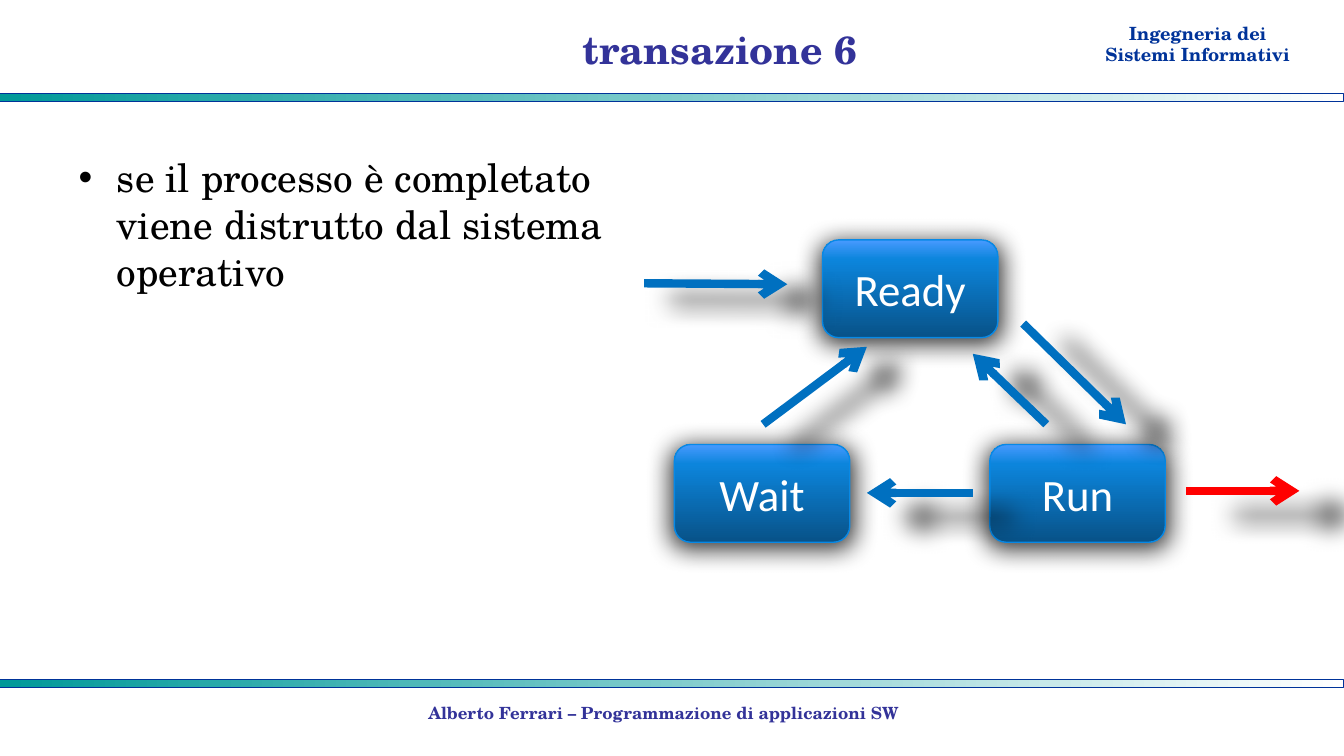
from dataclasses import dataclass

from lxml.etree import SubElement
from pptx import Presentation
from pptx.dml.color import RGBColor
from pptx.enum.shapes import MSO_CONNECTOR, MSO_SHAPE
from pptx.enum.text import MSO_ANCHOR, PP_ALIGN
from pptx.oxml.ns import qn
from pptx.util import Inches, Pt

COLORS = {
    "navy": "003399", "indigo": "333399", "teal": "009999", "white": "FFFFFF",
    "black": "000000", "blue": "0070C0", "red": "FF0000", "edge": "0789E6",
    "deep": "085288", "bright": "0C85DC", "sky": "489AFF",
}
SERIF, SANS = "TeX Gyre Schola", "Calibri"
BAR_STOPS = [(0, "teal"), (100, "white")]
STATE_STOPS = [(0, "deep"), (80, "bright"), (100, "sky")]
STATE_WIDTH, STATE_HEIGHT = 13.05, 12.93


# All places and sizes are percentages of the slide's width and height
@dataclass
class State:
    name: str
    left: float
    top: float


@dataclass
class Arrow:
    start: tuple[float, float]
    end: tuple[float, float]
    color: str = "blue"


STATES = [
    State("Ready", 61.2, 31.73),
    State("Wait", 50.18, 58.8),
    State("Run", 73.65, 58.8),
]
ARROWS = [
    Arrow((47.93, 37.47), (58.58, 37.6)),
    Arrow((76.13, 42.8), (83.78, 56.13)),
    Arrow((72.38, 65.2), (64.5, 65.2)),
    Arrow((77.85, 56.13), (72.38, 46.8)),
    Arrow((56.78, 56.13), (64.5, 45.87)),
    Arrow((88.28, 64.93), (96.68, 64.93), "red"),
]

deck = Presentation()
deck.slide_width, deck.slide_height = Inches(13.33), Inches(7.5)
page = deck.slides.add_slide(deck.slide_layouts[1])


def across(share: float) -> int:
    return round(deck.slide_width * share / 100)


def down(share: float) -> int:
    return round(deck.slide_height * share / 100)


def area(left: float, top: float, width: float, height: float) -> tuple:
    return across(left), down(top), across(width), down(height)


def rgb(name: str) -> RGBColor:
    return RGBColor.from_string(COLORS[name])


def write(box, lines: list[str], size: float, color: str, font: str = SERIF,
          bold: bool = False, align=PP_ALIGN.CENTER, anchor=MSO_ANCHOR.TOP) -> None:
    frame = box.text_frame
    frame.word_wrap = True
    frame.vertical_anchor = anchor
    frame.text = "\n".join(lines)
    for para in frame.paragraphs:
        para.alignment = align
        para.space_before = Pt(0)
        para.font.name, para.font.size = font, Pt(size)
        para.font.bold, para.font.color.rgb = bold, rgb(color)


def add_shadow(shape) -> None:
    properties = shape._element.spPr
    effects = properties.find(qn("a:effectLst"))
    if effects is None:
        effects = SubElement(properties, qn("a:effectLst"))
    shadow = SubElement(effects, qn("a:outerShdw"), blurRad=str(Pt(18)),
                        dist=str(Pt(3)), dir="5400000", sx="104000", sy="104000",
                        algn="ctr", rotWithShape="0")
    color = SubElement(shadow, qn("a:srgbClr"), val=COLORS["black"])
    SubElement(color, qn("a:alpha"), val="80000")


def add_gradient_shape(kind, place: tuple, stops: list, angle: int,
                       edge: str, edge_width: float):
    shape = page.shapes.add_shape(kind, *place)
    shape.shadow.inherit = False
    shape.fill.gradient()
    shape.fill.gradient_angle = angle
    stop_list = shape._element.spPr.find(".//" + qn("a:gsLst"))
    stop_list.clear()
    for position, color in stops:
        stop = SubElement(stop_list, qn("a:gs"), pos=str(position * 1000))
        SubElement(stop, qn("a:srgbClr"), val=COLORS[color])
    shape.line.color.rgb, shape.line.width = rgb(edge), Pt(edge_width)
    return shape


def add_state(state: State) -> None:
    place = area(state.left, state.top, STATE_WIDTH, STATE_HEIGHT)
    shape = add_gradient_shape(MSO_SHAPE.ROUNDED_RECTANGLE, place, STATE_STOPS,
                               90, "edge", 1)
    add_shadow(shape)
    write(shape, [state.name], 32, "white", SANS, anchor=MSO_ANCHOR.MIDDLE)


def add_arrow(arrow: Arrow) -> None:
    (x1, y1), (x2, y2) = arrow.start, arrow.end
    line = page.shapes.add_connector(MSO_CONNECTOR.STRAIGHT, across(x1), down(y1),
                                     across(x2), down(y2))
    line.line.color.rgb, line.line.width = rgb(arrow.color), Pt(6)
    SubElement(line.line._get_or_add_ln(), qn("a:tailEnd"), type="arrow")
    add_shadow(line)


# Header, footer and the two bars
header = page.shapes.add_textbox(*area(79.28, 2.13, 19.65, 7.2))
write(header, ["Ingegneria dei", "Sistemi Informativi"], 13, "navy", bold=True,
      anchor=MSO_ANCHOR.BOTTOM)
for bar_top in (12.4, 89.87):
    add_gradient_shape(MSO_SHAPE.RECTANGLE, area(0, bar_top, 100, 1.07),
                       BAR_STOPS, 0, "navy", 0.75)
footer = page.shapes.add_textbox(*area(18.3, 92.27, 62.18, 4.8))
write(footer, ["Alberto Ferrari – Programmazione di applicazioni SW"], 12, "indigo",
      bold=True)

# Title and bullet
title, body = page.shapes.title, page.placeholders[1]
title.left, title.top, title.width, title.height = area(27.98, 1.73, 51.15, 9.47)
write(title, ["transazione 6"], 28, "indigo", bold=True, anchor=MSO_ANCHOR.MIDDLE)
body.left, body.top, body.width, body.height = area(5.1, 19.6, 44.18, 66)
write(body, ["se il processo è completato viene distrutto dal sistema operativo"],
      28, "black", align=PP_ALIGN.LEFT)
bullet = body.text_frame.paragraphs[0]._p.get_or_add_pPr()
bullet.set("marL", str(Inches(0.38)))
bullet.set("indent", str(-Inches(0.38)))

# Process state diagram
for process_state in STATES:
    add_state(process_state)
for transition in ARROWS:
    add_arrow(transition)

deck.save("out.pptx")
